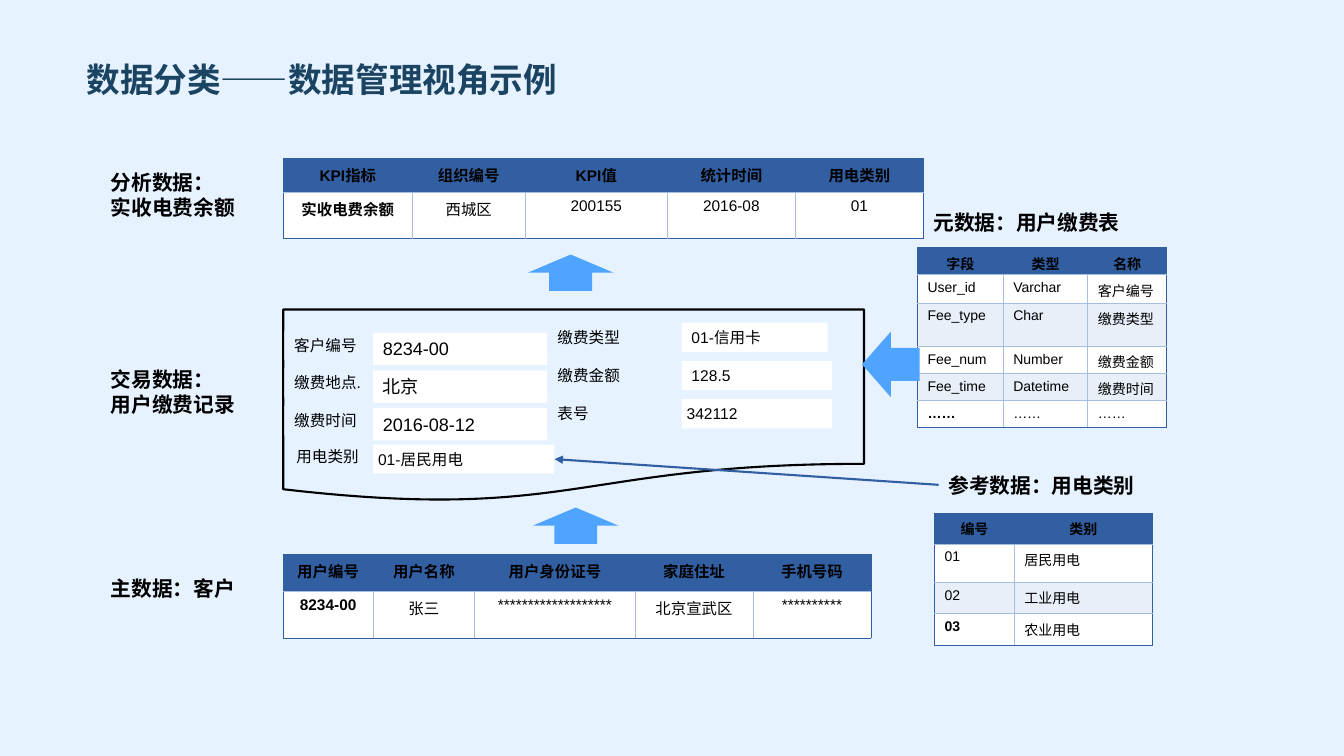
from lxml.etree import SubElement
from pptx import Presentation
from pptx.dml.color import RGBColor
from pptx.enum.shapes import MSO_CONNECTOR, MSO_SHAPE
from pptx.enum.text import MSO_ANCHOR, PP_ALIGN
from pptx.oxml.ns import qn
from pptx.util import Inches, Pt

PALE = RGBColor(0xE6, 0xF2, 0xFF)
BLUE = RGBColor(0x32, 0x5F, 0xA2)
SKY = RGBColor(0x4F, 0xA4, 0xFF)
RULE = RGBColor(0xA4, 0xBD, 0xE3)
BAND = RGBColor(0xE8, 0xEF, 0xF8)
NAVY = RGBColor(0x1B, 0x44, 0x62)
WHITE = RGBColor(0xFF, 0xFF, 0xFF)
BLACK = RGBColor(0, 0, 0)


def style(para, size, bold=False, color=BLACK):
    font = para.font
    font.name, font.size, font.bold = "Arial", Pt(size), bold
    font.color.rgb = color


def add_text(slide, box, lines, size=14.8, color=BLACK, wrap=False):
    """Bold text, centred vertically in its box."""
    text = slide.shapes.add_textbox(*map(Inches, box))
    frame = text.text_frame
    frame.word_wrap = wrap
    frame.vertical_anchor = MSO_ANCHOR.MIDDLE
    frame.text = "\n".join(lines)
    for para in frame.paragraphs:
        style(para, size, True, color)
    return text


def add_block(slide, kind, box, fill, turn=0):
    """Plain filled shape without outline."""
    shape = slide.shapes.add_shape(kind, *map(Inches, box))
    shape.shadow.inherit = False
    shape.fill.solid()
    shape.fill.fore_color.rgb = fill
    shape.line.fill.background()
    shape.rotation = turn
    return shape


def add_field(slide, box, words, size, fill, inset=0.1):
    """One label or value of the form."""
    shape = add_block(slide, MSO_SHAPE.RECTANGLE, box, fill)
    frame = shape.text_frame
    frame.word_wrap = True
    frame.vertical_anchor = MSO_ANCHOR.TOP
    frame.margin_left = frame.margin_right = Inches(inset)
    frame.text = words
    frame.paragraphs[0].alignment = PP_ALIGN.LEFT
    style(frame.paragraphs[0], size)
    return shape


def add_form(slide, x, y):
    """Payment record; returns the usage class value."""
    page = add_block(slide, MSO_SHAPE.FLOWCHART_DOCUMENT, (x, y, 5.76, 1.91), PALE)
    page.line.color.rgb = BLACK
    page.line.width = Pt(1.5)

    # Left column
    left = [("客户编号", "8234-00"), ("缴费地点.", "北京"), ("缴费时间", "2016-08-12")]
    for i, (label, value) in enumerate(left):
        top = y + 0.21 + 0.375 * i
        add_field(slide, (x + 0.01, top, 1.23, 0.29), label, 11.1, PALE)
        add_field(slide, (x + 0.89, top + 0.02, 1.73, 0.32), value, 12.9, WHITE)

    # Right column
    right = [("缴费类型", "01-信用卡", 1.45, 0.1), ("缴费金额", "128.5", 1.49, 0.1),
             ("表号", "342112", 1.49, 0.05)]
    for i, (label, value, wide, inset) in enumerate(right):
        top = y + 0.13 + 0.38 * i
        add_field(slide, (x + 2.62, top, 1.18, 0.29), label, 11.1, PALE)
        add_field(slide, (x + 3.95, top, wide, 0.29), value, 11.1, WHITE, inset)

    # Usage class
    add_field(slide, (x + 0.03, y + 1.31, 1.18, 0.29), "用电类别", 11.1, PALE)
    return add_field(slide, (x + 0.89, y + 1.34, 1.8, 0.29), "01-居民用电", 11.1, WHITE, 0.05)


def edge(cell, side, color):
    line = SubElement(cell._tc.get_or_add_tcPr(), qn("a:" + side), w=str(Pt(0.75)))
    fill = SubElement(line, qn("a:solidFill"))
    SubElement(fill, qn("a:srgbClr"), val=str(color))


def add_grid(slide, x, y, cols, rows, data, size, center):
    """Table with a blue head, banded body and blue frame."""
    box = map(Inches, (x, y, sum(cols), sum(rows)))
    table = slide.shapes.add_table(len(rows), len(cols), *box).table
    for col, wide in zip(table.columns, cols):
        col.width = Inches(wide)
    for row, high in zip(table.rows, rows):
        row.height = Inches(high)
    end_r, end_c = len(rows) - 1, len(cols) - 1
    for r, texts in enumerate(data):
        for c, words in enumerate(texts):
            cell = table.cell(r, c)
            head = r == 0
            side = BLUE if head else RULE
            edge(cell, "lnL", BLUE if c == 0 else side)
            edge(cell, "lnR", BLUE if c == end_c else side)
            edge(cell, "lnT", BLUE if head else RULE)
            edge(cell, "lnB", BLUE if r == end_r else RULE)
            cell.fill.solid()
            cell.fill.fore_color.rgb = BLUE if head else (BAND if r % 2 == 0 else WHITE)
            cell.text = words
            para = cell.text_frame.paragraphs[0]
            para.alignment = PP_ALIGN.CENTER if head or center else PP_ALIGN.LEFT
            # Head and first cell of the last row are bold
            style(para, size, head or (r == end_r and c == 0))


def add_link(slide, start, end):
    """Arrow from the left side of start to the right side of end."""
    link = slide.shapes.add_connector(MSO_CONNECTOR.STRAIGHT, 0, 0, 0, 0)
    link.begin_connect(start, 1)
    link.end_connect(end, 3)
    link.line.color.rgb = BLUE
    link.line.width = Pt(1.5)
    SubElement(link.line._get_or_add_ln(), qn("a:tailEnd"), type="triangle")
    SubElement(link._element.spPr, qn("a:effectLst"))


def add_flow(slide):
    """Left side: analysis, transaction and master data."""
    add_text(slide, (1, 1.7, 1.43, 0.46), ["分析数据：", "实收电费余额"])
    add_grid(slide, 2.81, 1.57, [1.28, 1.12, 1.41, 1.27, 1.27], [0.34, 0.46], [
        ["KPI指标", "组织编号", "KPI值", "统计时间", "用电类别"],
        ["实收电费余额", "西城区", "200155", "2016-08", "01"]], 11, True)
    add_text(slide, (1, 3.47, 1.43, 0.84), ["交易数据：", "用户缴费记录"])
    usage = add_form(slide, 2.81, 3.07)
    add_text(slide, (1, 5.61, 1.43, 0.46), ["主数据：客户"])
    add_grid(slide, 2.81, 5.5, [0.89, 1.01, 1.59, 1.17, 1.17], [0.37, 0.46], [
        ["用户编号", "用户名称", "用户身份证号", "家庭住址", "手机号码"],
        ["8234-00", "张三", "*" * 19, "北京宣武区", "*" * 10]], 11, True)
    for x, y in [(5.48, 2.28), (5.53, 4.79)]:
        add_block(slide, MSO_SHAPE.RIGHT_ARROW, (x, y, 0.36, 0.85), SKY, 270)
    return usage


def add_side(slide, usage):
    """Right side: metadata and reference data."""
    add_text(slide, (9.16, 1.97, 2.05, 0.46), ["元数据：用户缴费表"])
    add_grid(slide, 9.1, 2.46, [0.85, 0.84, 0.78], [0.26, 0.28, 0.43, 0.26, 0.26, 0.26], [
        ["字段", "类型", "名称"],
        ["User_id", "Varchar", "客户编号"],
        ["Fee_type", "Char", "缴费类型"],
        ["Fee_num", "Number", "缴费金额"],
        ["Fee_time", "Datetime", "缴费时间"],
        ["……", "……", "……"]], 10, False)
    add_block(slide, MSO_SHAPE.DOWN_ARROW, (8.51, 3.33, 0.65, 0.57), SKY, 90)

    label = add_text(slide, (9.31, 4.58, 2.05, 0.46), ["参考数据：用电类别"])
    add_grid(slide, 9.27, 5.09, [0.79, 1.37], [0.31, 0.38, 0.31, 0.31], [
        ["编号", "类别"],
        ["01", "居民用电"],
        ["02", "工业用电"],
        ["03", "农业用电"]], 10, False)
    add_link(slide, label, usage)


def main():
    deck = Presentation()
    deck.slide_width, deck.slide_height = Inches(13.33), Inches(7.5)
    slide = deck.slides.add_slide(deck.slide_layouts[6])
    slide.background.fill.solid()
    slide.background.fill.fore_color.rgb = PALE
    add_text(slide, (0.76, 0.39, 11.81, 0.79), ["数据分类——数据管理视角示例"], 24, NAVY, True)
    usage = add_flow(slide)
    add_side(slide, usage)
    deck.save("out.pptx")


if __name__ == "__main__":
    main()
